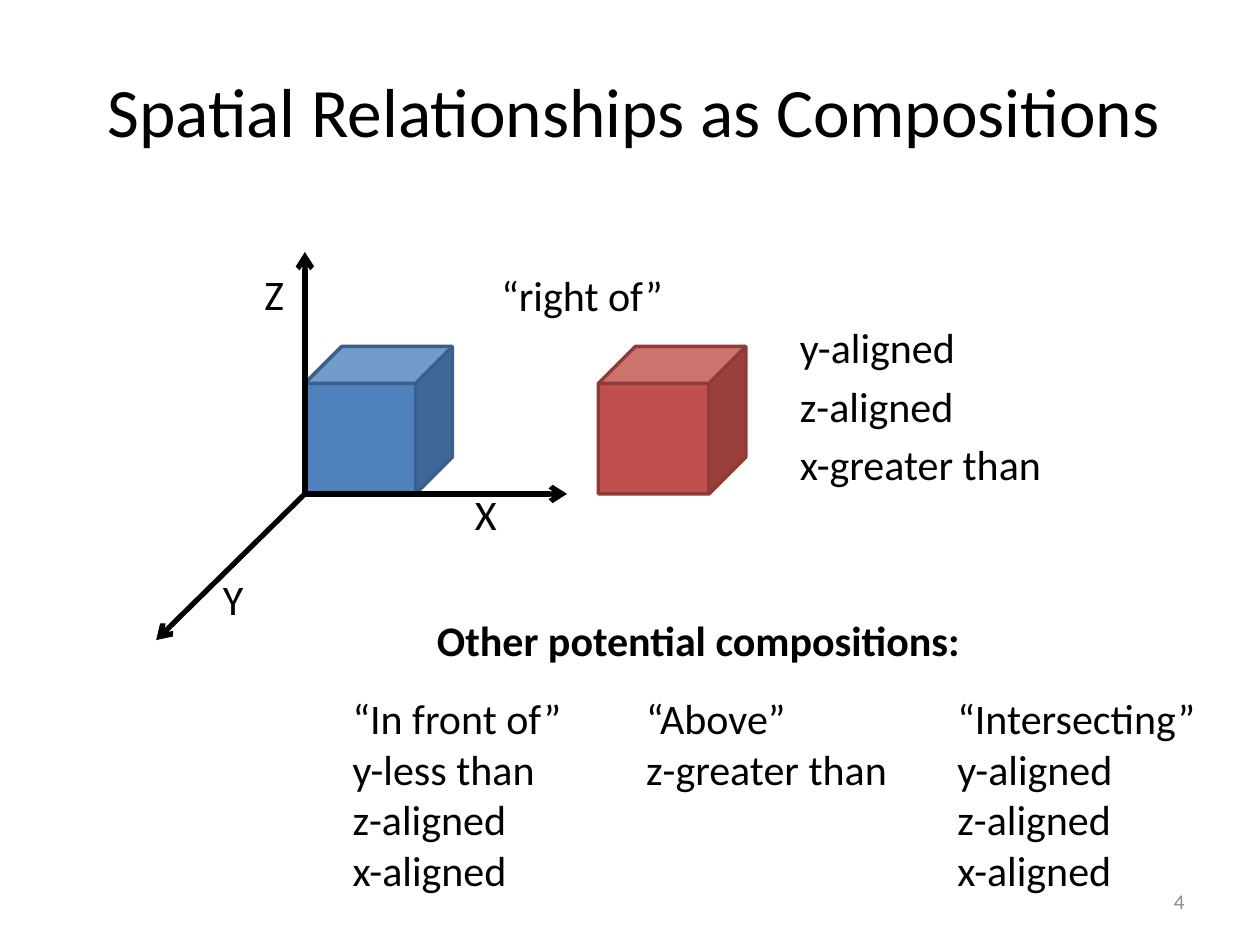
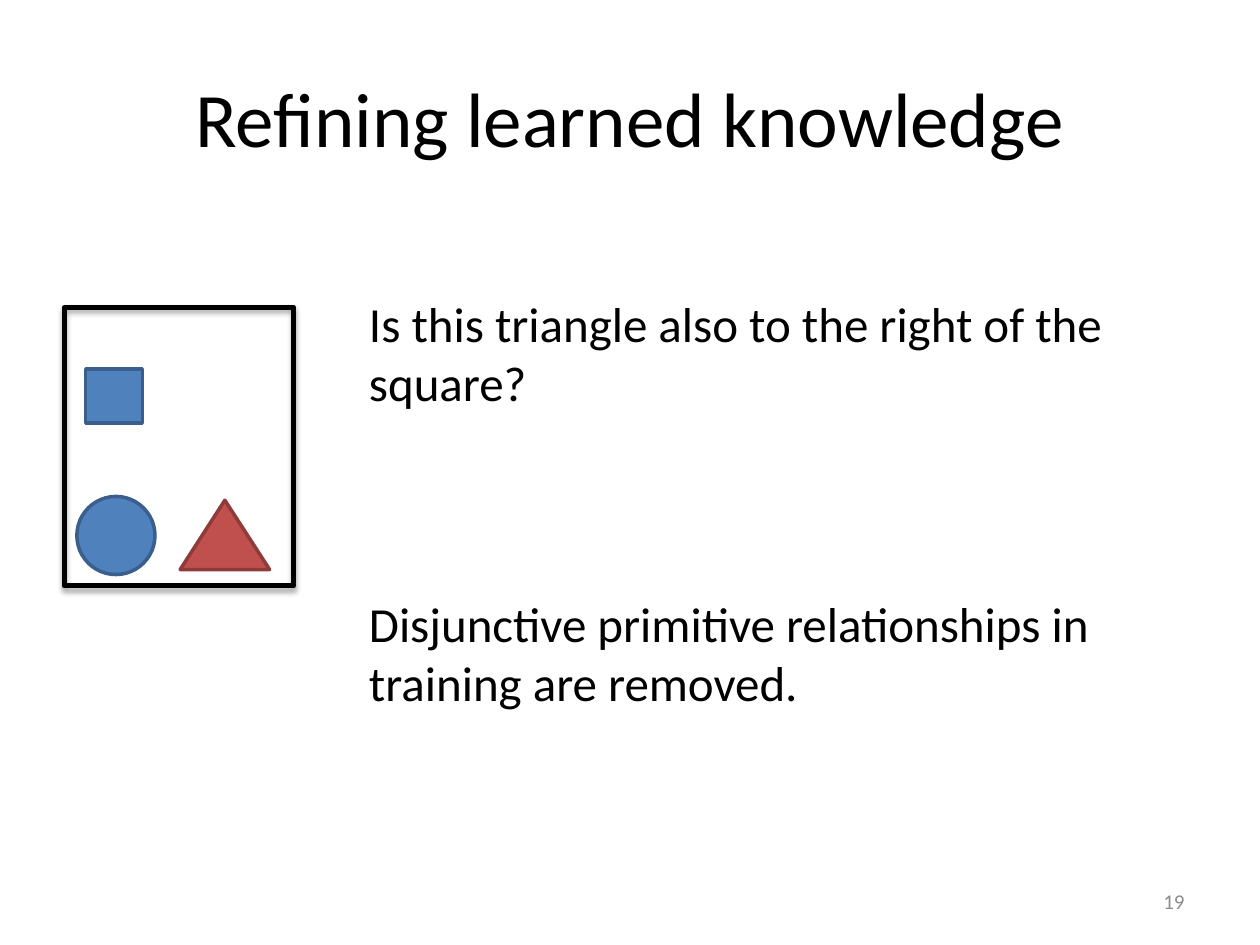
from lxml import etree
from pptx import Presentation
from pptx.dml.color import RGBColor
from pptx.enum.shapes import MSO_CONNECTOR, MSO_SHAPE
from pptx.enum.text import MSO_ANCHOR, MSO_AUTO_SIZE, PP_ALIGN
from pptx.oxml.ns import qn
from pptx.util import Inches, Pt

STRAIGHT = MSO_CONNECTOR.STRAIGHT
CUBE, RECT = MSO_SHAPE.CUBE, MSO_SHAPE.RECTANGLE
OVAL, TRIANGLE = MSO_SHAPE.OVAL, MSO_SHAPE.ISOSCELES_TRIANGLE
LEFT, CENTER, RIGHT = PP_ALIGN.LEFT, PP_ALIGN.CENTER, PP_ALIGN.RIGHT
TOP, MIDDLE = MSO_ANCHOR.TOP, MSO_ANCHOR.MIDDLE
NO_FIT = MSO_AUTO_SIZE.NONE

FONT = "Calibri"
TITLE_ONLY = 5
COLORS = {
    "ink": "000000",
    "number": "8C8C8C",
    "blue": "4F81BD",
    "blue_edge": "3A5F8C",
    "red": "C0504D",
    "red_edge": "8E3B39",
}


def rgb(name):
    """Return the named colour."""
    return RGBColor.from_string(COLORS[name])


def style(p, size, color="ink", bold=False, align=LEFT):
    """Format one paragraph."""
    p.alignment = align
    p.font.name = FONT
    p.font.size = Pt(size)
    p.font.bold = bold
    p.font.color.rgb = rgb(color)


def add_text(slide, box, lines, size=24, gap=0, anchor=TOP, **look):
    """Add a wrapped text box with one paragraph per line."""
    tf = slide.shapes.add_textbox(*map(Inches, box)).text_frame
    tf.word_wrap = True
    tf.vertical_anchor = anchor
    for i, line in enumerate(lines):
        p = tf.add_paragraph() if i else tf.paragraphs[0]
        p.text = line
        style(p, size, **look)
        if i and gap:
            p.space_before = Pt(gap)


def add_solid(slide, kind, box, color):
    """Add a filled shape edged in the darker tone of its colour."""
    sp = slide.shapes.add_shape(kind, *map(Inches, box))
    sp.shadow.inherit = False
    sp.fill.solid()
    sp.fill.fore_color.rgb = rgb(color)
    sp.line.color.rgb = rgb(color + "_edge")
    sp.line.width = Pt(2)


def add_axis(slide, x, y, dx, dy):
    """Add an axis arrow from a point along an offset."""
    line = slide.shapes.add_connector(
        STRAIGHT, *map(Inches, (x, y, x + dx, y + dy)))
    line.line.color.rgb = rgb("ink")
    line.line.width = Pt(3)
    etree.SubElement(line.line._get_or_add_ln(), qn("a:tailEnd"), type="arrow")
    etree.SubElement(line._element.spPr, qn("a:effectLst"))


def add_frame(slide, box):
    """Add an open black frame with a soft shadow below it."""
    sp = slide.shapes.add_shape(RECT, *map(Inches, box))
    sp.fill.background()
    sp.line.color.rgb = rgb("ink")
    sp.line.width = Pt(3)
    sp.shadow.inherit = False
    effects = sp._element.spPr.find(qn("a:effectLst"))
    shadow = etree.SubElement(
        effects, qn("a:outerShdw"), blurRad=str(Pt(3.1)), dist=str(Pt(1.8)),
        dir="5400000", rotWithShape="0")
    color = etree.SubElement(shadow, qn("a:srgbClr"), val=COLORS["ink"])
    etree.SubElement(color, qn("a:alpha"), val="35000")


def new_slide(prs, title, number, box, size):
    """Add a slide with its title and page number."""
    slide = prs.slides.add_slide(prs.slide_layouts[TITLE_ONLY])
    sp = slide.shapes.title
    sp.left, sp.top, sp.width, sp.height = map(Inches, box)
    tf = sp.text_frame
    tf.text = title
    tf.word_wrap = True
    tf.auto_size = NO_FIT
    tf.vertical_anchor = MIDDLE
    style(tf.paragraphs[0], size, align=CENTER)
    add_text(slide, (7.17, 6.95, 2.33, 0.4), [str(number)], size=12,
             anchor=MIDDLE, color="number", align=RIGHT)
    return slide


def draw_axes_scene(slide, x, y):
    """Draw two cubes and labelled axes around the origin (x, y)."""
    side = 1.17
    for dx, color in ((0, "blue"), (2.33, "red")):
        add_solid(slide, CUBE, (x + dx, y - side, side, side), color)
    for dx, dy in ((2.08, 0), (-1.18, 1.16), (0, -1.92)):
        add_axis(slide, x, y, dx, dy)
    for label, dx, dy in (("Z", -0.42, -1.84), ("Y", -0.75, 0.58),
                          ("X", 1.25, -0.09)):
        add_text(slide, (x + dx, y + dy, 0.42, 0.5), [label])
    add_text(slide, (x + 1.46, y - 1.83, 1.71, 0.78), ["“right of”"])


def draw_compositions(slide, x, y):
    """Place the heading and the three columns of compositions."""
    add_text(slide, (x + 0.67, y, 4.46, 0.75),
             ["Other potential compositions:"], bold=True)
    columns = (
        (0, 2.33, ["“In front of”", "y-less than", "z-aligned", "x-aligned"]),
        (2.33, 2.17, ["“Above”", "z-greater than"]),
        (4.8, 2.17, ["“Intersecting”", "y-aligned", "z-aligned", "x-aligned"]),
    )
    for dx, width, lines in columns:
        add_text(slide, (x + dx, y + 0.62, width, 1.9), lines)


def draw_shape_card(slide, x, y):
    """Draw the framed square, circle and triangle."""
    add_frame(slide, (x, y, 1.82, 2.21))
    add_solid(slide, TRIANGLE, (x + 0.92, y + 1.53, 0.71, 0.55), "red")
    add_solid(slide, OVAL, (x + 0.1, y + 1.5, 0.62, 0.62), "blue")
    add_solid(slide, RECT, (x + 0.17, y + 0.49, 0.45, 0.43), "blue")


def spatial_slide(prs):
    """Build the slide on spatial relationships."""
    slide = new_slide(prs, "Spatial Relationships as Compositions", 4,
                      (0.53, 0.25, 9, 1.25), 39.6)
    add_text(slide, (6.25, 2.5, 3.5, 1.89),
             ["y-aligned", "z-aligned", "x-greater than"], gap=4.8)
    draw_axes_scene(slide, 2.42, 3.92)
    draw_compositions(slide, 2.7, 4.83)


def refining_slide(prs):
    """Build the slide on refining learned knowledge."""
    slide = new_slide(prs, "Refining learned knowledge", 19,
                      (0.5, 0.3, 9, 1.25), 44)
    draw_shape_card(slide, 0.51, 2.44)
    statements = (
        (2.28, "Is this triangle also to the right of the square?"),
        (4.66, "Disjunctive primitive relationships in training are removed."),
    )
    for top, text in statements:
        add_text(slide, (2.83, top, 6.42, 1.19), [text], size=28)


def main():
    """Build and save the presentation."""
    prs = Presentation()
    prs.slide_width, prs.slide_height = Inches(10), Inches(7.5)
    spatial_slide(prs)
    refining_slide(prs)
    prs.save("out.pptx")


if __name__ == "__main__":
    main()
